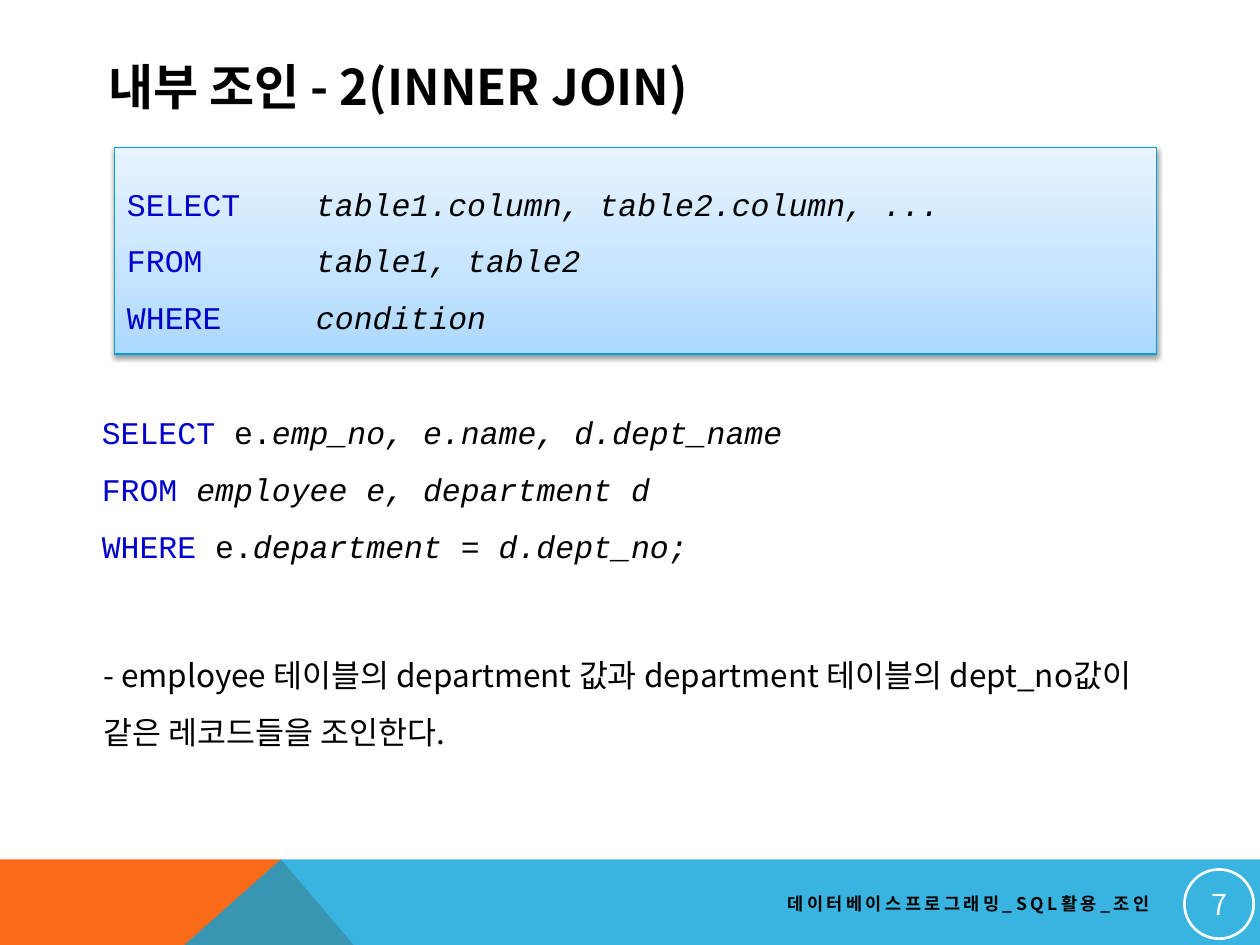
from dataclasses import dataclass

from pptx import Presentation
from pptx.dml.color import RGBColor
from pptx.enum.shapes import MSO_SHAPE
from pptx.enum.text import MSO_ANCHOR, MSO_AUTO_SIZE, PP_ALIGN
from pptx.oxml.ns import qn
from pptx.oxml.xmlchemy import OxmlElement
from pptx.util import Inches, Pt


@dataclass(frozen=True)
class Theme:
    black: str = "000000"
    white: str = "FFFFFF"
    keyword: str = "0000CD"
    orange: str = "F96A1B"
    blue: str = "08A1D9"
    box_line: str = "03A0D9"
    box_stops: tuple = ((0, "ABD8FF"), (35, "C3E3FF"), (100, "E8F4FF"))
    code_font: str = "Courier New"
    korean_font: str = "Noto Sans CJK KR"
    title_size: float = 28
    body_size: float = 18
    number_size: float = 16.5
    footer_size: float = 10


THEME = Theme()
KEYWORD = dict(name=THEME.code_font, size=Pt(THEME.body_size), color=THEME.keyword)
PLAIN = KEYWORD | dict(color=THEME.black)
ITALIC = PLAIN | dict(italic=True)
BODY = PLAIN | dict(name=THEME.korean_font)
TITLE = BODY | dict(size=Pt(THEME.title_size), bold=True)
FOOTER = BODY | dict(size=Pt(THEME.footer_size), bold=True)
NUMBER = BODY | dict(size=Pt(THEME.number_size), color=THEME.white)


def add_xml(parent, tag, **attributes):
    child = OxmlElement(tag)
    for key, value in attributes.items():
        child.set(key, str(value))
    parent.append(child)
    return child


def add_color(parent, color, alpha=None):
    node = add_xml(parent, "a:srgbClr", val=color)
    if alpha is not None:
        add_xml(node, "a:alpha", val=alpha * 1000)


def format_run(run, values):
    for key, value in values.items():
        if key == "color":
            run.font.color.rgb = RGBColor.from_string(value)
        else:
            setattr(run.font, key, value)
    add_xml(run.font._element, "a:ea", typeface=values["name"])


def write(shape, paragraphs, align=PP_ALIGN.LEFT, spacing=None, **frame_values):
    """Fill a shape with paragraphs, each a list of (text, format) runs; None breaks the line."""
    frame = shape.text_frame
    frame.word_wrap = True
    for key, value in frame_values.items():
        setattr(frame, key, value)
    for index, runs in enumerate(paragraphs):
        paragraph = frame.add_paragraph() if index else frame.paragraphs[0]
        paragraph.alignment = align
        paragraph.line_spacing = spacing
        for part in runs:
            if part is None:
                paragraph.add_line_break()
                continue
            run = paragraph.add_run()
            run.text, values = part
            format_run(run, values)


def add_text(slide, left, top, width, height, paragraphs, **values):
    box = slide.shapes.add_textbox(*map(Inches, (left, top, width, height)))
    write(box, paragraphs, **values)
    return box


def add_band(slide, points, color, alpha=100):
    start, *rest = [(Inches(x), Inches(y)) for x, y in points]
    builder = slide.shapes.build_freeform(*start)
    builder.add_line_segments(rest, close=True)
    band = builder.convert_to_shape()
    band.shadow.inherit = False
    band.line.fill.background()
    band.fill.solid()
    band.fill.fore_color.rgb = RGBColor.from_string(color)
    if alpha < 100:
        color_node = band._element.spPr.find(qn("a:solidFill"))[0]
        add_xml(color_node, "a:alpha", val=alpha * 1000)


def add_outlined(slide, preset, left, top, width, height, color, weight):
    shape = slide.shapes.add_shape(preset, *map(Inches, (left, top, width, height)))
    shape.shadow.inherit = False
    shape.fill.background()
    shape.line.color.rgb = RGBColor.from_string(color)
    shape.line.width = Pt(weight)
    return shape


def add_syntax_box(slide, clauses):
    box = add_outlined(slide, MSO_SHAPE.RECTANGLE, 0.91, 1.17, 8.27, 1.64,
                       THEME.box_line, 0.75)
    # Gradient running from the bottom up
    box.fill.gradient()
    box.fill.gradient_angle = 90
    properties = box._element.spPr
    stops = properties.find(qn("a:gradFill")).find(qn("a:gsLst"))
    for old_stop in list(stops):
        stops.remove(old_stop)
    for position, color in THEME.box_stops:
        add_color(add_xml(stops, "a:gs", pos=position * 1000), color)
    # Soft shadow below
    shadow = add_xml(properties.find(qn("a:effectLst")), "a:outerShdw",
                     blurRad=Pt(3.1), dist=Pt(1.6), dir=90 * 60000, rotWithShape=0)
    add_color(shadow, THEME.black, 38)
    write(box, [[(f"{keyword}\t\t", KEYWORD), (rest, ITALIC)] for keyword, rest in clauses],
          spacing=1.5, vertical_anchor=MSO_ANCHOR.MIDDLE)


def add_title(slide, text):
    title = slide.shapes.title
    place = dict(left=0.76, top=0.38, width=8.22, height=0.6)
    for key, value in place.items():
        setattr(title, key, Inches(value))
    write(title, [[(text, TITLE)]], vertical_anchor=MSO_ANCHOR.MIDDLE,
          auto_size=MSO_AUTO_SIZE.NONE)


def add_footer(slide, text, number):
    footer = add_text(slide, 3.58, 7.02, 5.64, 0.3, [[(text, FOOTER)]],
                      align=PP_ALIGN.RIGHT, vertical_anchor=MSO_ANCHOR.MIDDLE)
    footer.text_frame.paragraphs[0].runs[0].font._element.set("spc", "200")
    badge = add_outlined(slide, MSO_SHAPE.OVAL, 9.4, 6.9, 0.55, 0.55, THEME.white, 1.5)
    margins = {f"margin_{side}": Inches(0.01) for side in ("left", "top", "right", "bottom")}
    write(badge, [[(number, NUMBER)]], align=PP_ALIGN.CENTER,
          vertical_anchor=MSO_ANCHOR.MIDDLE, **margins)


def main():
    deck = Presentation()
    deck.slide_width, deck.slide_height = Inches(10), Inches(7.5)
    slide = deck.slides.add_slide(deck.slide_layouts[5])

    # Bottom bands meeting at a peak
    top, bottom, peak = 6.82, 8.8, 2.23
    add_band(slide, [(0, bottom), (0, top), (peak, top), (3.91, bottom)], THEME.orange)
    add_band(slide, [(0, bottom), (peak, top), (10, top), (10, bottom)], THEME.blue, 80)

    # Title and general syntax
    add_title(slide, "내부 조인 - 2(INNER JOIN)")
    add_syntax_box(slide, [
        ("SELECT", "table1.column, table2.column, ..."),
        ("FROM", "table1, table2"),
        ("WHERE", "condition"),
    ])

    # Example query
    add_text(slide, 0.71, 3.08, 8.66, 1.46, [
        [("SELECT ", KEYWORD), ("e.", PLAIN), ("emp_no, e.name, d.dept_name", ITALIC), None,
         ("FROM ", KEYWORD), ("employee e, department d", ITALIC)],
        [("WHERE ", KEYWORD), ("e.", PLAIN), ("department = d.dept_no;", ITALIC)],
    ], spacing=1.5, auto_size=MSO_AUTO_SIZE.SHAPE_TO_FIT_TEXT)

    # Explanation
    explanation = ("- employee 테이블의 department 값과 department 테이블의 "
                   "dept_no값이 같은 레코드들을 조인한다.")
    add_text(slide, 0.72, 5.01, 8.65, 1.01, [[(explanation, BODY)]],
             spacing=1.5, auto_size=MSO_AUTO_SIZE.SHAPE_TO_FIT_TEXT)

    # Footer and page number
    add_footer(slide, "데이터베이스프로그래밍_SQL활용_조인", "7")
    deck.save("out.pptx")


if __name__ == "__main__":
    main()
